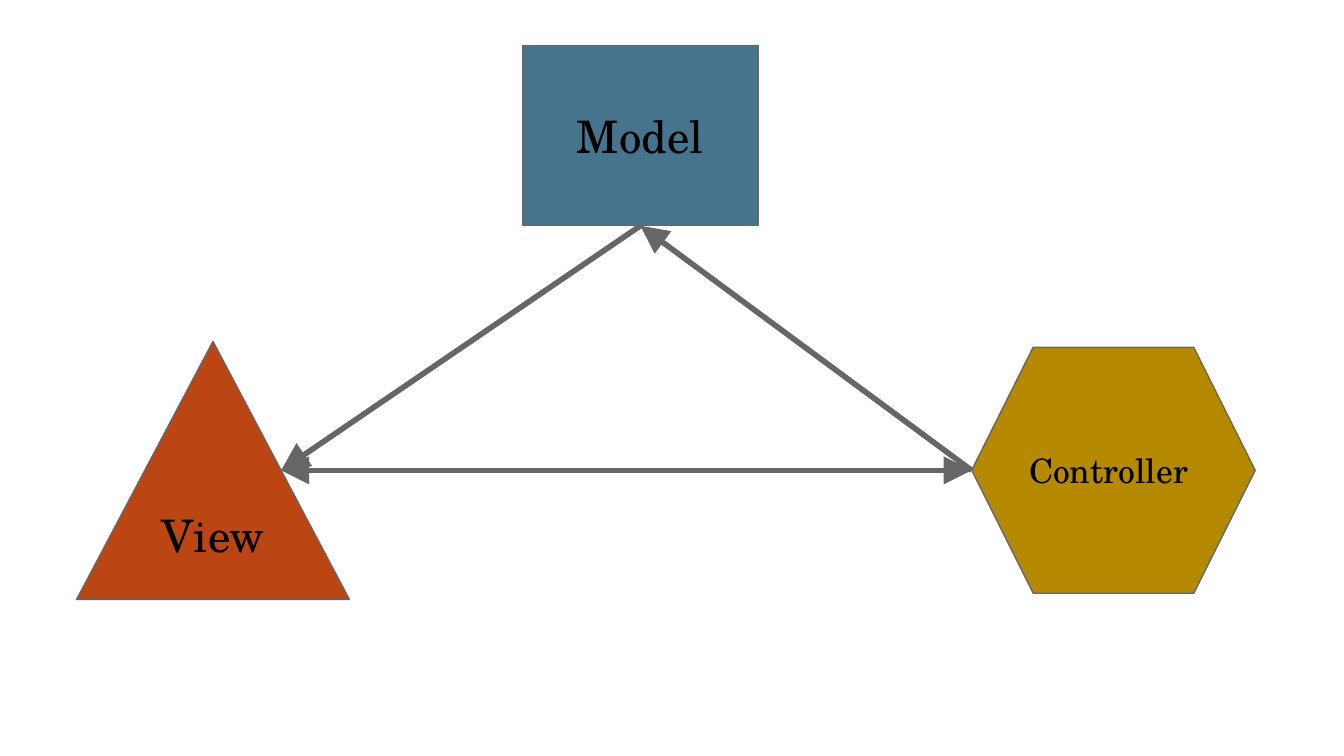
import pptx
import pptx.dml.color
import pptx.enum.shapes
import pptx.enum.text
import pptx.oxml
import pptx.oxml.ns
import pptx.util

Inches = pptx.util.Inches
Kind = pptx.enum.shapes.MSO_SHAPE
Align = pptx.enum.text.PP_ALIGN

FONT = "TeX Gyre Schola"
COLORS = {
    "model": "47748D",
    "view": "BB4614",
    "controller": "B58900",
    "line": "666666",
    "text": "000000",
}

# name: kind, (left, vertical middle, width, height), text size, alignment
NODES = {
    "Model": (Kind.RECTANGLE, (3.89, 1.01, 1.75, 1.34), 24, Align.CENTER),
    "View": (Kind.ISOSCELES_TRIANGLE, (0.57, 3.5, 2.03, 1.92), 24, Align.CENTER),
    "Controller": (Kind.HEXAGON, (7.23, 3.5, 2.11, 1.83), 18, Align.LEFT),
}

# Place where lines meet each node, as fractions of its width and height
PORTS = {"Model": (0.5, 1), "View": (0.75, 0.5), "Controller": (0, 0.5)}

# start, end, ends that carry an arrowhead
LINKS = [
    ("Model", "View", ["tailEnd"]),
    ("Model", "Controller", ["headEnd"]),
    ("View", "Controller", ["headEnd", "tailEnd"]),
]


def rgb(name):
    return pptx.dml.color.RGBColor.from_string(COLORS[name])


def add_node(slide, name):
    kind, (left, middle, width, height), size, alignment = NODES[name]
    bounds = left, middle - height / 2, width, height
    shape = slide.shapes.add_shape(kind, *map(Inches, bounds))
    shape.shadow.inherit = False
    shape.fill.solid()
    shape.fill.fore_color.rgb = rgb(name.lower())
    shape.line.color.rgb = rgb("line")
    shape.line.width = pptx.util.Pt(0.75)

    frame = shape.text_frame
    frame.word_wrap = True
    frame.vertical_anchor = pptx.enum.text.MSO_ANCHOR.MIDDLE
    frame.margin_left = frame.margin_right = Inches(0.1)
    frame.margin_top = frame.margin_bottom = Inches(0.1)
    frame.text = name
    para = frame.paragraphs[0]
    para.alignment = alignment
    para.font.name = FONT
    para.font.size = pptx.util.Pt(size)
    para.font.color.rgb = rgb("text")
    return shape


def port(name):
    left, middle, width, height = NODES[name][1]
    across, down = PORTS[name]
    return Inches(left + across * width), Inches(middle + (down - 0.5) * height)


def add_link(slide, start, end, arrow_ends, shapes):
    link = slide.shapes.add_connector(
        pptx.enum.shapes.MSO_CONNECTOR.STRAIGHT, *port(start), *port(end))
    if start == "Model":
        link.begin_connect(shapes[start], 2)
    link.line.color.rgb = rgb("line")
    link.line.width = pptx.util.Pt(3)
    line = link.line._get_or_add_ln()
    namespace = pptx.oxml.ns.nsdecls("a")
    for arrow_end in arrow_ends:
        line.append(pptx.oxml.parse_xml(
            f'<a:{arrow_end} {namespace} type="triangle" w="lg" len="lg"/>'))
    link.element.spPr.append(pptx.oxml.parse_xml(f"<a:effectLst {namespace}/>"))


def main():
    deck = pptx.Presentation()
    deck.slide_width = Inches(10)
    deck.slide_height = deck.slide_width * 9 // 16
    slide = deck.slides.add_slide(deck.slide_layouts[6])
    shapes = {name: add_node(slide, name) for name in NODES}
    for start, end, arrow_ends in LINKS:
        add_link(slide, start, end, arrow_ends, shapes)

    # The controller lies in front of the lines
    controller = shapes["Controller"].element
    controller.getparent().append(controller)
    deck.save("out.pptx")


if __name__ == "__main__":
    main()
